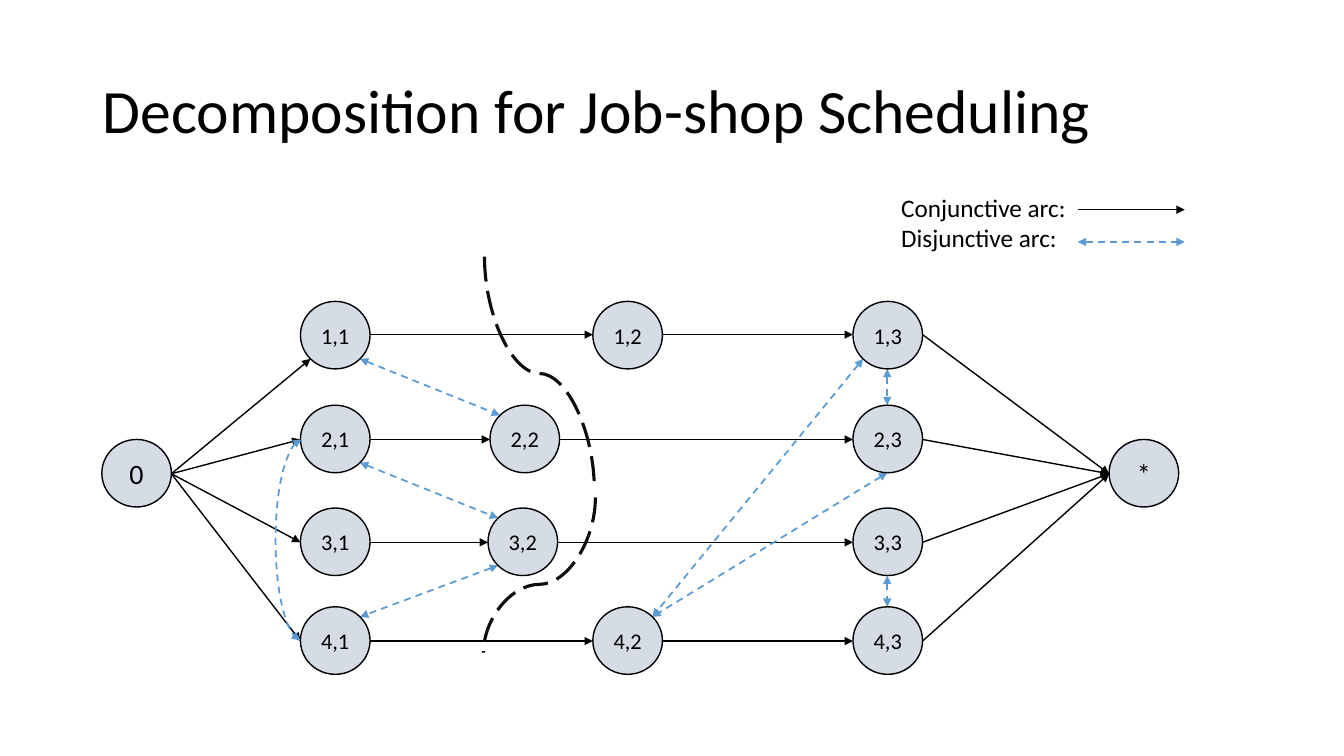
from dataclasses import dataclass
from enum import Enum

from lxml.etree import SubElement
from pptx import Presentation
from pptx.dml.color import RGBColor
from pptx.enum.dml import MSO_LINE as Dash
from pptx.enum.shapes import MSO_CONNECTOR as Link, MSO_SHAPE as Form
from pptx.enum.text import MSO_ANCHOR as Anchor, MSO_AUTO_SIZE as Fit, PP_ALIGN as Align
from pptx.oxml.ns import qn
from pptx.shapes.connector import Connector
from pptx.util import Emu, Pt

BLACK = RGBColor(0x00, 0x00, 0x00)
INK = RGBColor(0x0D, 0x0D, 0x0D)
GREY = RGBColor(0xD6, 0xDC, 0xE5)
BLUE = RGBColor(0x5B, 0x9B, 0xD5)
FONT = "Calibri"
SCALE = 9144  # 100 px to the inch
WIDE, HIGH = 69, 67

Point = tuple[int, int]


class Site(Enum):
    """Places on a node's rim, as shares of its width and height."""
    TOP = (0.5, 0)
    LEFT = (0, 0.5)
    BOTTOM = (0.5, 1)
    RIGHT = (1, 0.5)
    NW = (0.146, 0.146)
    NE = (0.854, 0.146)
    SW = (0.146, 0.854)
    SE = (0.854, 0.854)


@dataclass(frozen=True)
class Node:
    label: str
    x: int
    y: int
    size: int = 16

    def at(self, site: Site) -> Point:
        across, down = site.value
        return round(self.x + across * WIDE), round(self.y + down * HIGH)


@dataclass(frozen=True)
class Arc:
    start: str
    out: Site
    end: str
    into: Site


@dataclass(frozen=True)
class Style:
    color: RGBColor
    width: float
    dash: Dash | None = None
    head: bool = False
    tail: bool = False


SOLID = Style(BLACK, 1, tail=True)
DASHED = Style(BLUE, 1.25, Dash.DASH, head=True, tail=True)
CUT = Style(INK, 2.25, Dash.LONG_DASH)

ROWS = {1: 299, 2: 402, 3: 504, 4: 602}
MIDDLE = {1: 588, 2: 486, 3: 484, 4: 588}
NODES = {node.label: node for node in [
    Node("0", 101, 436, 20),
    *(Node(f"{job},{step}", x, y)
      for job, y in ROWS.items()
      for step, x in enumerate((298, MIDDLE[job], 846), 1)),
    Node("*", 1100, 436, 20),
]}

JOBS = [
    arc for job in ROWS for arc in (
        Arc("0", Site.RIGHT, f"{job},1", Site.SW if job == 1 else Site.LEFT),
        Arc(f"{job},1", Site.RIGHT, f"{job},2", Site.LEFT),
        Arc(f"{job},2", Site.RIGHT, f"{job},3", Site.LEFT),
        Arc(f"{job},3", Site.RIGHT, "*", Site.LEFT),
    )
]
CLASHES = [
    Arc("1,1", Site.SE, "2,2", Site.NW),
    Arc("2,1", Site.SE, "3,2", Site.NW),
    Arc("3,2", Site.SW, "4,1", Site.NE),
    Arc("1,3", Site.BOTTOM, "2,3", Site.TOP),
    Arc("3,3", Site.BOTTOM, "4,3", Site.TOP),
    Arc("2,3", Site.BOTTOM, "4,2", Site.NE),
    Arc("1,3", Site.SW, "4,2", Site.NE),
]


def px(*values: int) -> list[Emu]:
    return [Emu(value * SCALE) for value in values]


def write(shape, text: str, *, size: int, align=Align.LEFT, anchor=Anchor.TOP,
          space: float = 1, wrap: bool = True, inset: int | None = None) -> None:
    frame = shape.text_frame
    frame.text = text
    frame.auto_size = Fit.NONE
    frame.word_wrap = wrap
    frame.vertical_anchor = anchor
    if inset is not None:
        frame.margin_left = frame.margin_right = Emu(inset * SCALE)
    for par in frame.paragraphs:
        par.alignment = align
        par.line_spacing = space
        par.font.name = FONT
        par.font.size = Pt(size)
        par.font.color.rgb = BLACK


def draw(shapes, start: Point, end: Point, style: Style, kind=Link.STRAIGHT) -> Connector:
    link = shapes.add_connector(kind, *px(*start, *end))
    line = link.line
    line.color.rgb = style.color
    line.width = Pt(style.width)
    if style.dash is not None:
        line.dash_style = style.dash
    props = link._element.spPr
    for tag, shown in (("a:headEnd", style.head), ("a:tailEnd", style.tail)):
        if shown:
            SubElement(props.find(qn("a:ln")), qn(tag), type="triangle")
    SubElement(props, qn("a:effectLst"))
    return link


def adjust(link: Connector, share: float) -> None:
    """Move the middle of a curved connector to a share of its width."""
    guides = link._element.spPr.find(qn("a:prstGeom")).find(qn("a:avLst"))
    SubElement(guides, qn("a:gd"), name="adj1", fmla=f"val {round(share * 100000)}")


def bend(shapes, start: Point, end: Point, share: float) -> None:
    """Draw a curve that leaves and arrives vertically."""
    wide, high = end[1] - start[1], abs(end[0] - start[0])
    left = (start[0] + end[0] - wide) // 2
    top = (start[1] + end[1] - high) // 2
    ends = [(left, top), (left + wide, top + high)]
    rightward = end[0] > start[0]
    if rightward:
        ends = [(left + wide, top), (left, top + high)]
    link = draw(shapes, *ends, CUT, Link.CURVE)
    link.rotation = 270 if rightward else 90
    adjust(link, share)


def circle(shapes, node: Node) -> None:
    disc = shapes.add_shape(Form.OVAL, *px(node.x, node.y, WIDE, HIGH))
    disc.shadow.inherit = False
    disc.fill.solid()
    disc.fill.fore_color.rgb = GREY
    disc.line.color.rgb = BLACK
    disc.line.width = Pt(1)
    write(disc, node.label, size=node.size, align=Align.CENTER,
          anchor=Anchor.MIDDLE, wrap=False, inset=0)


def main() -> None:
    deck = Presentation()
    deck.slide_width, deck.slide_height = px(1333, 750)
    slide = deck.slides.add_slide(deck.slide_layouts[5])
    shapes = slide.shapes

    title = shapes.title
    title.left, title.top, title.width, title.height = px(92, 40, 1150, 145)
    write(title, "Decomposition for Job-shop Scheduling", size=44,
          anchor=Anchor.MIDDLE, space=0.9)

    for arcs, style in ((JOBS, SOLID), (CLASHES, DASHED)):
        for arc in arcs:
            draw(shapes, NODES[arc.start].at(arc.out), NODES[arc.end].at(arc.into), style)
    for node in NODES.values():
        circle(shapes, node)

    loop = draw(shapes, (299, 436), (298, 635), DASHED, Link.CURVE)
    adjust(loop, 26)
    bend(shapes, (481, 255), (590, 487), 0.5)
    bend(shapes, (591, 494), (480, 648), 0.56)

    legend = shapes.add_textbox(*px(884, 186, 370, 71))
    write(legend, "Conjunctive arc:\nDisjunctive arc:", size=18)
    for y, style in ((208, SOLID), (240, DASHED)):
        draw(shapes, (1069, y), (1175, y), style)

    deck.save("out.pptx")


if __name__ == "__main__":
    main()
